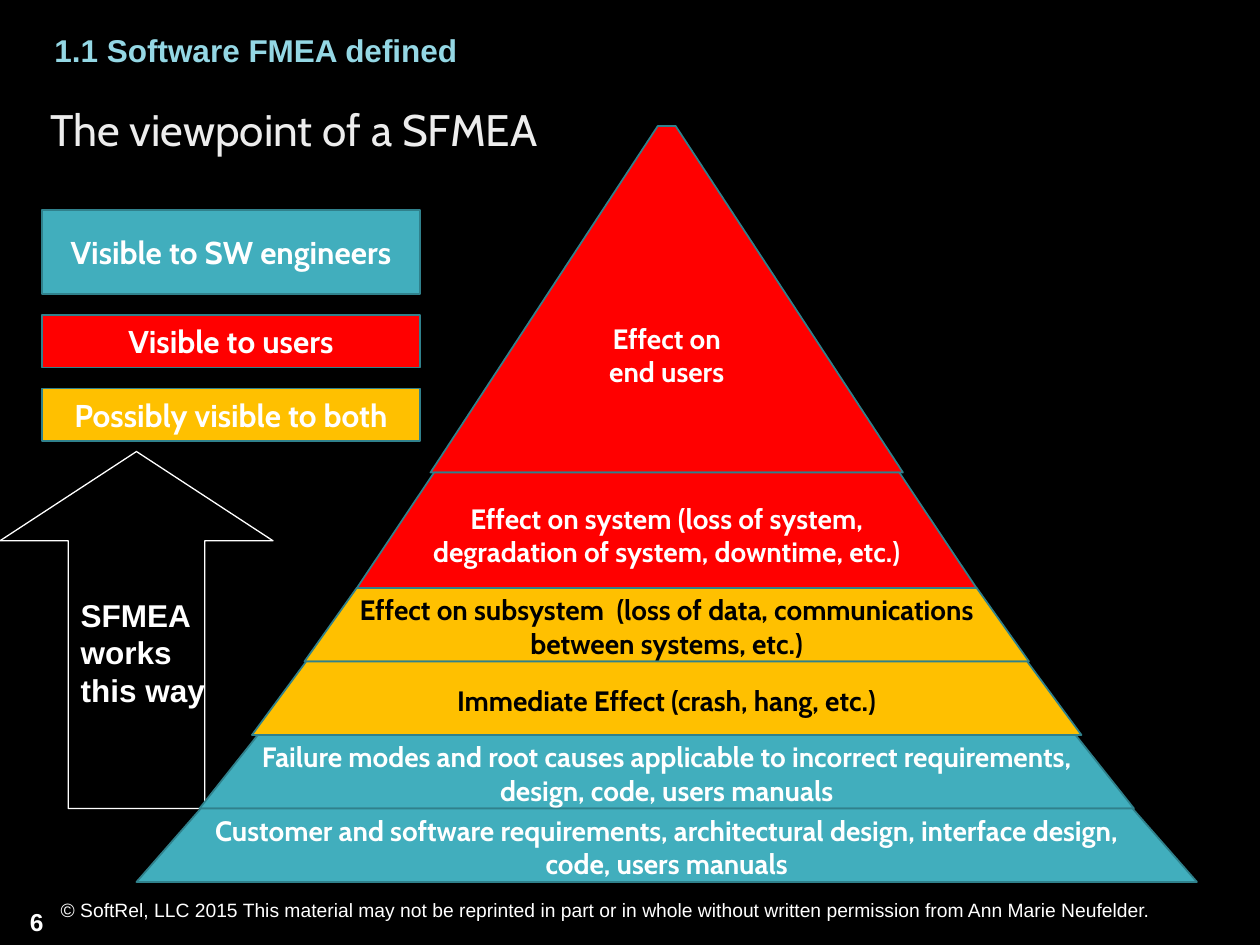
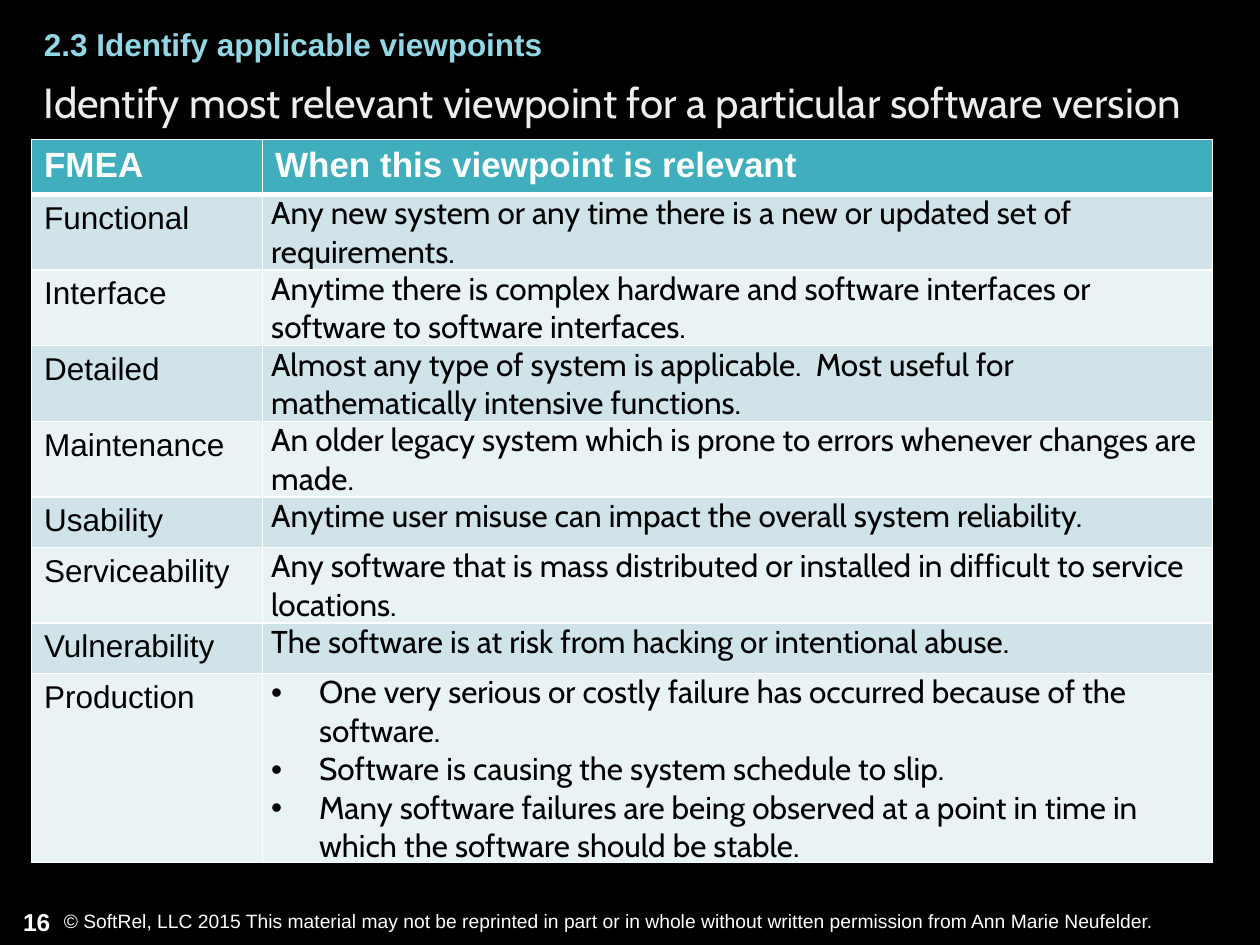
from lxml.etree import SubElement
from pptx import Presentation
from pptx.dml.color import RGBColor
from pptx.enum.shapes import MSO_SHAPE
from pptx.enum.text import MSO_ANCHOR, PP_ALIGN
from pptx.oxml.ns import qn
from pptx.util import Inches, Pt

BLACK = RGBColor(0x00, 0x00, 0x00)
WHITE = RGBColor(0xFF, 0xFF, 0xFF)
TITLE_GREY = RGBColor(0xED, 0xED, 0xED)
SECTION_BLUE = RGBColor(0x94, 0xD7, 0xE4)
TEAL = RGBColor(0x41, 0xAE, 0xBD)
DARK_TEAL = RGBColor(0x30, 0x81, 0x8C)
RED = RGBColor(0xFF, 0x00, 0x00)
AMBER = RGBColor(0xFF, 0xC0, 0x00)
BANDS = (RGBColor(0xCF, 0xE3, 0xE8), RGBColor(0xE9, 0xF2, 0xF4))

# The slide is a grid of 120 columns and 90 rows, 12 units to the inch.
COLUMNS, ROWS, UNITS_PER_INCH = 120, 90, 12

SECTION_FORMAT = {"name": "Arial", "size": 18, "bold": True, "color": SECTION_BLUE}
TITLE_FORMAT = {"name": "Cabin", "size": 24, "bold": False, "color": TITLE_GREY}
NUMBER_FORMAT = {"name": "Arial", "size": 14, "bold": True, "color": WHITE}
FOOTER_FORMAT = {"name": "Arial", "size": 11, "bold": False, "color": WHITE}
LEGEND_FORMAT = {"name": "Cabin", "size": 18, "bold": True, "color": WHITE}
ARROW_FORMAT = {"name": "Arial", "size": 18, "bold": True, "color": WHITE}
LEVEL_FORMAT = {"name": "Cabin", "size": 16, "bold": True}
HEADER_FORMAT = {"name": "Arial", "size": 20, "bold": True, "color": WHITE}
NAME_FORMAT = {"name": "Arial", "size": 18, "bold": False, "color": BLACK}
REASON_FORMAT = {"name": "Cabin", "size": 18, "bold": False, "color": BLACK}

FOOTER = ("© SoftRel, LLC 2015 This material may not be reprinted in part or in whole "
          "without written permission from Ann Marie Neufelder.")

# text, fill, rows high
LEGEND = [
    ("Visible to SW engineers", TEAL, 8),
    ("Visible to users", RED, 5),
    ("Possibly visible to both", AMBER, 5),
]

# text, fill, text colour, columns wide, rows high, slope; from the top down
LEVELS = [
    ("Effect on end users", RED, WHITE, 45, 33, 0.656),
    ("Effect on system (loss of system, degradation of system, downtime, etc.)",
     RED, WHITE, 59, 11, 0.668),
    ("Effect on subsystem  (loss of data, communications between systems, etc.)",
     AMBER, BLACK, 69, 7, 0.711),
    ("Immediate Effect (crash, hang, etc.)", AMBER, BLACK, 79, 7, 0.738),
    ("Failure modes and root causes applicable to incorrect requirements, design, "
     "code, users manuals", TEAL, WHITE, 89, 7, 0.794),
    ("Customer and software requirements, architectural design, interface design, "
     "code, users manuals", TEAL, WHITE, 101, 7, 0.877),
]

TABLE_HEADER = ("FMEA", "When this viewpoint is relevant")
# viewpoint, reasons, lines of text
VIEWPOINTS = [
    ("Functional", ["Any new system or any time there is a new or updated set of "
                    "requirements."], 2),
    ("Interface", ["Anytime there is complex hardware and software interfaces or "
                   "software to software interfaces."], 2),
    ("Detailed", ["Almost any type of system is applicable.  Most useful for "
                  "mathematically intensive functions."], 2),
    ("Maintenance", ["An older legacy system which is prone to errors whenever "
                     "changes are made."], 2),
    ("Usability", ["Anytime user misuse can impact the overall system reliability."], 1),
    ("Serviceability", ["Any software that is mass distributed or installed in "
                        "difficult to service locations."], 2),
    ("Vulnerability", ["The software is at risk from hacking or intentional abuse."], 1),
    ("Production", [
        "One very serious or costly failure has occurred because of the software.",
        "Software is causing the system schedule to slip.",
        "Many software failures are being observed at a point in time in which the "
        "software should be stable.",
    ], 5),
]


def units(count):
    return Inches(count / UNITS_PER_INCH)


def apply_format(font, values):
    for key, value in values.items():
        if key == "color":
            font.color.rgb = value
        else:
            setattr(font, key, Pt(value) if key == "size" else value)


def write(text_frame, lines, values, alignment=PP_ALIGN.LEFT):
    """Write one paragraph for each line and return the paragraphs."""
    text_frame.text = "\n".join(lines)
    for paragraph in text_frame.paragraphs:
        paragraph.alignment = alignment
        for run in paragraph.runs:
            apply_format(run.font, values)
    return text_frame.paragraphs


def add_label(slide, box, text, values, alignment=PP_ALIGN.LEFT, anchor=MSO_ANCHOR.TOP):
    text_frame = slide.shapes.add_textbox(*map(units, box)).text_frame
    text_frame.word_wrap = True
    text_frame.vertical_anchor = anchor
    return write(text_frame, [text], values, alignment)[0]


def add_block(slide, kind, box, lines, values, fill, line=DARK_TEAL, width=1,
              alignment=PP_ALIGN.CENTER, adjustments=()):
    shape = slide.shapes.add_shape(kind, *map(units, box))
    shape.shadow.inherit = False
    shape.fill.solid()
    shape.fill.fore_color.rgb = fill
    shape.line.color.rgb = line
    shape.line.width = Pt(width)
    for index, adjustment in enumerate(adjustments):
        shape.adjustments[index] = adjustment
    shape.text_frame.word_wrap = True
    shape.text_frame.vertical_anchor = MSO_ANCHOR.MIDDLE
    write(shape.text_frame, lines, values, alignment)
    return shape


def add_framed_slide(presentation, number, section, section_at, title, title_box,
                     footer_at, title_size=24):
    """Add a black slide with section line, title, page number and footer."""
    slide = presentation.slides.add_slide(presentation.slide_layouts[6])
    slide.background.fill.solid()
    slide.background.fill.fore_color.rgb = BLACK
    add_label(slide, (0, 85.8, 7, 4), str(number), NUMBER_FORMAT,
              PP_ALIGN.CENTER, MSO_ANCHOR.MIDDLE)
    heading = add_label(slide, title_box, title, {**TITLE_FORMAT, "size": title_size},
                        anchor=MSO_ANCHOR.MIDDLE)
    heading.line_spacing = 0.9
    add_label(slide, (*section_at, 73, 4.8), section, SECTION_FORMAT)
    add_label(slide, (*footer_at, 115, 3.5), FOOTER, FOOTER_FORMAT)
    return slide


def add_legend(slide, left, top, width, gap):
    for text, fill, height in LEGEND:
        add_block(slide, MSO_SHAPE.RECTANGLE, (left, top, width, height), [text],
                  LEGEND_FORMAT, fill)
        top += height + gap


def add_direction_arrow(slide, box):
    arrow = add_block(slide, MSO_SHAPE.UP_ARROW, box, ["SFMEA", "works", "this way"],
                      ARROW_FORMAT, BLACK, WHITE, 0.75, PP_ALIGN.LEFT, (0.5, 0.327))
    arrow.text_frame.word_wrap = False


def add_pyramid(slide, center, top):
    for text, fill, color, width, height, slope in LEVELS:
        add_block(slide, MSO_SHAPE.TRAPEZOID, (center - width / 2, top, width, height),
                  [text], {**LEVEL_FORMAT, "color": color}, fill, adjustments=(slope,))
        top += height


def set_borders(cell, **widths):
    """Draw white borders, 1 point wide unless a side (L, R, T, B) says otherwise."""
    properties = cell._tc.get_or_add_tcPr()
    for side in "LRTB":
        line = SubElement(properties, qn(f"a:ln{side}"), w=str(Pt(widths.get(side, 1))))
        SubElement(SubElement(line, qn("a:solidFill")), qn("a:srgbClr"), val=str(WHITE))


def fill_cell(cell, lines, values, fill, **border_widths):
    set_borders(cell, **border_widths)
    cell.fill.solid()
    cell.fill.fore_color.rgb = fill
    return write(cell.text_frame, lines, values)


def add_bullet(paragraph, indent):
    properties = paragraph._p.get_or_add_pPr()
    properties.set("marL", str(indent))
    properties.set("indent", str(-indent))
    SubElement(properties, qn("a:buFont"), typeface="Arial")
    SubElement(properties, qn("a:buChar"), char="•")


def add_viewpoint_table(slide, left, top, width, name_width):
    heights = [0.42] + [max(0.4, 0.3 * lines) for _, _, lines in VIEWPOINTS]
    table = slide.shapes.add_table(len(heights), 2, units(left), units(top), units(width),
                                   Inches(sum(heights))).table
    table.first_row = table.horz_banding = False
    for column, share in zip(table.columns, (name_width, width - name_width)):
        column.width = units(share)
    for row, height in zip(table.rows, heights):
        row.height = Inches(height)

    for index, text in enumerate(TABLE_HEADER):
        fill_cell(table.cell(0, index), [text], HEADER_FORMAT, TEAL, B=3)
    for index, (name, reasons, _) in enumerate(VIEWPOINTS):
        fill = BANDS[index % 2]
        edge = {"T": 3} if index == 0 else {}
        name_cell, reason_cell = table.rows[index + 1].cells
        fill_cell(name_cell, [name], NAME_FORMAT, fill, **edge)
        reason_cell.margin_left = reason_cell.margin_right = Inches(0.07)
        reason_cell.margin_top = reason_cell.margin_bottom = 0
        paragraphs = fill_cell(reason_cell, reasons, REASON_FORMAT, fill, **edge)
        if len(reasons) > 1:
            for paragraph in paragraphs:
                add_bullet(paragraph, Inches(0.38))


def build_pyramid_slide(presentation):
    slide = add_framed_slide(
        presentation, 6, "1.1 Software FMEA defined", (4, 2.4),
        "The viewpoint of a SFMEA", (3.6, 9.6, 107, 6), (4.6, 85), 25.2)
    add_direction_arrow(slide, (0, 43, 26, 34))
    add_pyramid(slide, center=63.5, top=12)
    add_legend(slide, left=4, top=20, width=36, gap=2)


def build_table_slide(presentation):
    slide = add_framed_slide(
        presentation, 16, "2.3 Identify applicable viewpoints", (3, 1.8),
        "Identify most relevant viewpoint for a particular software version",
        (3, 7, 112.5, 6), (4.9, 86))
    add_viewpoint_table(slide, left=3, top=13.3, width=112.5, name_width=22)


def main():
    presentation = Presentation()
    presentation.slide_width = units(COLUMNS)
    presentation.slide_height = units(ROWS)
    build_pyramid_slide(presentation)
    build_table_slide(presentation)
    presentation.save("out.pptx")


if __name__ == "__main__":
    main()
